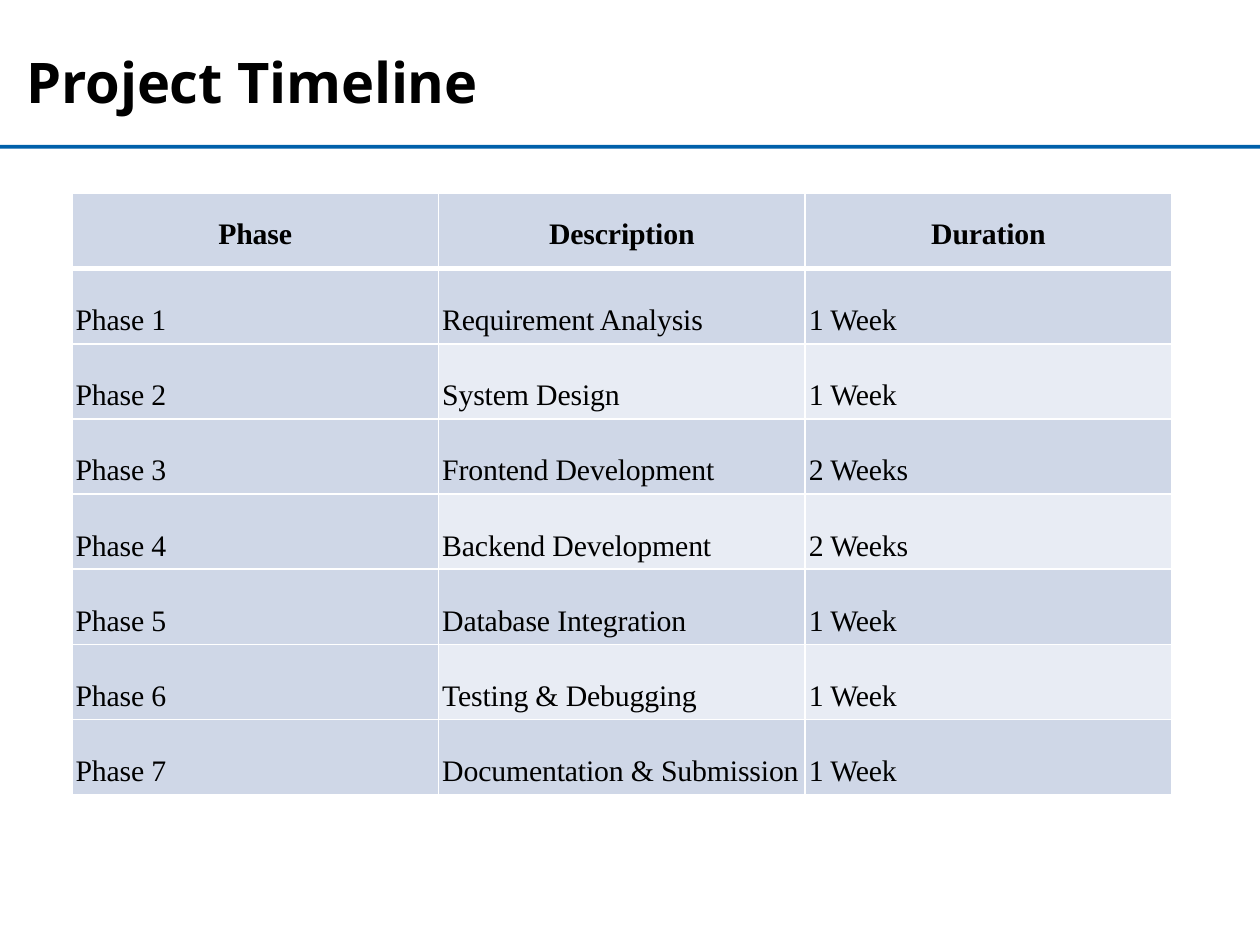
from dataclasses import dataclass
from typing import NamedTuple

from lxml.etree import SubElement
from pptx import Presentation
from pptx.dml.color import RGBColor
from pptx.enum.shapes import MSO_SHAPE
from pptx.enum.text import MSO_ANCHOR, PP_ALIGN
from pptx.oxml.ns import qn
from pptx.util import Emu, Inches, Pt

SLIDE_WIDTH, SLIDE_HEIGHT = Inches(10), Inches(7.5)


@dataclass(frozen=True)
class Theme:
    ink: str = "000000"
    rule: str = "0060AA"
    band_dark: str = "CFD7E7"
    band_light: str = "E8ECF4"
    grid: str = "FFFFFF"
    title_font: str = "Open Sans"
    table_font: str = "Times New Roman"
    title_size: float = 32
    table_size: float = 17
    thin: float = 1
    thick: float = 3


class Phase(NamedTuple):
    description: str
    duration: str


THEME = Theme()
HEADINGS = ("Phase", "Description", "Duration")
PHASES = [
    Phase("Requirement Analysis", "1 Week"),
    Phase("System Design", "1 Week"),
    Phase("Frontend Development", "2 Weeks"),
    Phase("Backend Development", "2 Weeks"),
    Phase("Database Integration", "1 Week"),
    Phase("Testing & Debugging", "1 Week"),
    Phase("Documentation & Submission", "1 Week"),
]


def across(share: float) -> Emu:
    return Emu(round(SLIDE_WIDTH * share))


def down(share: float) -> Emu:
    return Emu(round(SLIDE_HEIGHT * share))


def write(frame, text: str, *, font: str, size: float, bold: bool = False,
          align=PP_ALIGN.LEFT, tracking: float = -0.1) -> None:
    """Put one formatted line of text in a text frame."""
    paragraph = frame.paragraphs[0]
    paragraph.alignment = align
    paragraph.space_before = Pt(0)
    run = paragraph.add_run()
    run.text = text
    run.font.name, run.font.size, run.font.bold = font, Pt(size), bold
    run.font.color.rgb = RGBColor.from_string(THEME.ink)
    run.font._element.set("spc", str(round(tracking * 100)))


def set_margins(box, left: float = 0, top: float = 0) -> None:
    box.margin_left, box.margin_top = Inches(left), Inches(top)
    box.margin_right = box.margin_bottom = 0
    box.vertical_anchor = MSO_ANCHOR.TOP


def style_cell(cell, fill: str, top: float, bottom: float) -> None:
    """Draw the cell's borders, then its fill."""
    properties = cell._tc.get_or_add_tcPr()
    widths = {"a:lnL": THEME.thin, "a:lnR": THEME.thin, "a:lnT": top, "a:lnB": bottom}
    for tag, width in widths.items():
        border = SubElement(properties, qn(tag), w=str(Pt(width)))
        SubElement(SubElement(border, qn("a:solidFill")), qn("a:srgbClr"), val=THEME.grid)
    cell.fill.solid()
    cell.fill.fore_color.rgb = RGBColor.from_string(fill)


def add_title(slide, text: str) -> None:
    title = slide.shapes.title
    title.left, title.top = across(0.02), down(0.02)
    title.width, title.height = across(0.85), down(0.147)
    set_margins(title.text_frame, left=0.01, top=0.23)
    title.text_frame.vertical_anchor = MSO_ANCHOR.TOP
    write(title.text_frame, text, font=THEME.title_font, size=THEME.title_size, bold=True)


def add_rule(slide) -> None:
    rule = slide.shapes.add_shape(MSO_SHAPE.RECTANGLE, 0, Inches(1.15), SLIDE_WIDTH, Inches(0.03))
    rule.shadow.inherit = False
    rule.fill.solid()
    rule.fill.fore_color.rgb = RGBColor.from_string(THEME.rule)
    rule.line.fill.background()


def add_timeline(slide, phases: list[Phase]) -> None:
    rows = [HEADINGS] + [(f"Phase {n}", *phase) for n, phase in enumerate(phases, 1)]
    timeline = slide.shapes.add_table(
        len(rows), len(HEADINGS), across(0.057), down(0.205), across(0.873), down(0.636)
    ).table
    for r, row in enumerate(rows):
        is_header = r == 0
        for c, text in enumerate(row):
            cell = timeline.cell(r, c)
            # The phase column and every odd row take the darker band
            is_dark = is_header or c == 0 or r % 2 == 1
            style_cell(cell, THEME.band_dark if is_dark else THEME.band_light,
                       top=THEME.thick if r == 1 else THEME.thin,
                       bottom=THEME.thick if is_header else THEME.thin)
            set_margins(cell, left=0 if is_header else 0.03, top=0.19 if is_header else 0.28)
            write(cell.text_frame, text, font=THEME.table_font, size=THEME.table_size,
                  bold=is_header, align=PP_ALIGN.CENTER if is_header else PP_ALIGN.LEFT)


def main() -> None:
    deck = Presentation()
    deck.slide_width, deck.slide_height = SLIDE_WIDTH, SLIDE_HEIGHT
    slide = deck.slides.add_slide(deck.slide_layouts[5])  # title only
    add_title(slide, "Project Timeline")
    add_rule(slide)
    add_timeline(slide, PHASES)
    deck.save("out.pptx")


if __name__ == "__main__":
    main()
